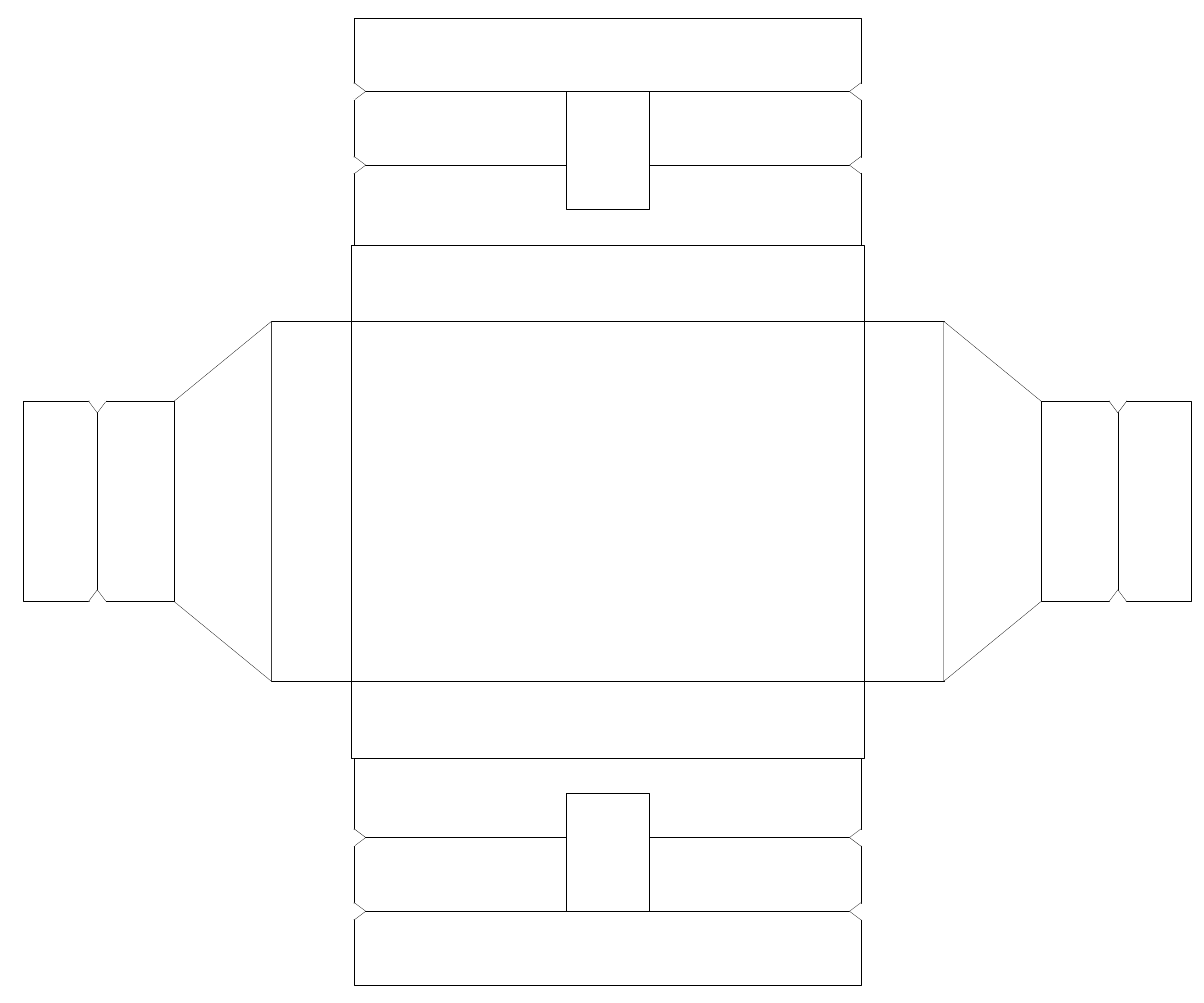
from math import cos, radians, sin
from pptx import Presentation
from pptx.dml.color import RGBColor
from pptx.enum.shapes import MSO_SHAPE
from pptx.util import Cm, Pt

BLACK, WHITE = "000000", "FFFFFF"
RECT, TRAPEZOID, TRIANGLE = MSO_SHAPE.RECTANGLE, MSO_SHAPE.TRAPEZOID, MSO_SHAPE.ISOSCELES_TRIANGLE
CX, CY = 20.6, 17
BASE_W, BASE_H = 17.4, 12.2
FLAP_W, END_W = 17.2, 6.8
NOTCH_W, NOTCH_H = 0.6, 0.4
TAB_W, TAB_H = 2.8, 4


def color(hex_text):
    """Turn a hex string into a colour."""
    return RGBColor.from_string(hex_text)


class BoxNet:
    """Draws the pieces of a folding box on one slide."""

    def __init__(self, slide):
        """Keep the slide, a group for the pieces and the line style."""
        self.s = slide
        self.shapes = slide.shapes.add_group_shape().shapes
        self.line_width = Pt(0.25)

    def add_piece(self, kind, x, y, w, h, turn=0, line=BLACK, adj=None):
        """Add a white outlined shape centred at x, y."""
        sp = self.shapes.add_shape(kind, Cm(x - w / 2), Cm(y - h / 2), Cm(w), Cm(h))
        sp.rotation = turn % 360
        sp.shadow.inherit = False
        sp.fill.solid()
        sp.fill.fore_color.rgb = color(WHITE)
        sp.line.color.rgb = color(line)
        sp.line.width = self.line_width
        if adj is not None:
            sp.adjustments[0] = adj

    def add_on_arm(self, kind, turn, across, out, w, h, spin=0, **style):
        """Add a piece placed across and outward along an arm."""
        a = radians(turn)
        x = CX + across * cos(a) + out * sin(a)
        y = CY + across * sin(a) - out * cos(a)
        self.add_piece(kind, x, y, w, h, turn + spin, **style)

    def add_panels(self, turn, start, sizes):
        """Stack panels outward from the base and return their outer edges."""
        edges = []
        for kind, w, h, adj in sizes:
            self.add_on_arm(kind, turn, 0, start + h / 2, w, h, adj=adj)
            start += h
            edges.append(start)
        return edges

    def add_notches(self, turn, joint, width):
        """Cut a notch into both ends of a fold."""
        for side in (1, -1):
            edge, spin = width / 2, -90 * side
            self.add_on_arm(TRIANGLE, turn, side * (edge - NOTCH_H / 2), joint,
                            NOTCH_W, NOTCH_H, spin)
            self.add_on_arm(RECT, turn, side * (edge + 0.05), joint,
                            0.5, 0.13, spin, line=WHITE)


END_PANELS = [(RECT, BASE_H, 2.7, None), (TRAPEZOID, BASE_H, 3.3, 0.82),
              (RECT, END_W, 2.6, None), (TRAPEZOID, END_W, 2.5, 0)]
LID_PANELS = [(RECT, BASE_W, 2.6, None), (RECT, FLAP_W, 2.7, None),
              (RECT, FLAP_W, 2.5, None), (TRAPEZOID, FLAP_W, 2.5, 0)]

prs = Presentation()
prs.slide_width, prs.slide_height = Cm(40.82), Cm(34.01)
net = BoxNet(prs.slides.add_slide(prs.slide_layouts[6]))
net.add_piece(RECT, CX, CY, BASE_W, BASE_H)

for turn in (270, 90):
    edges = net.add_panels(turn, BASE_W / 2, END_PANELS)
    net.add_notches(turn, edges[2], END_W)

for turn in (180, 0):
    edges = net.add_panels(turn, BASE_H / 2, LID_PANELS)
    net.add_on_arm(RECT, turn, 0, edges[2] - TAB_H / 2, TAB_W, TAB_H)
    for joint in edges[1:3]:
        net.add_notches(turn, joint, FLAP_W)

prs.save("out.pptx")
